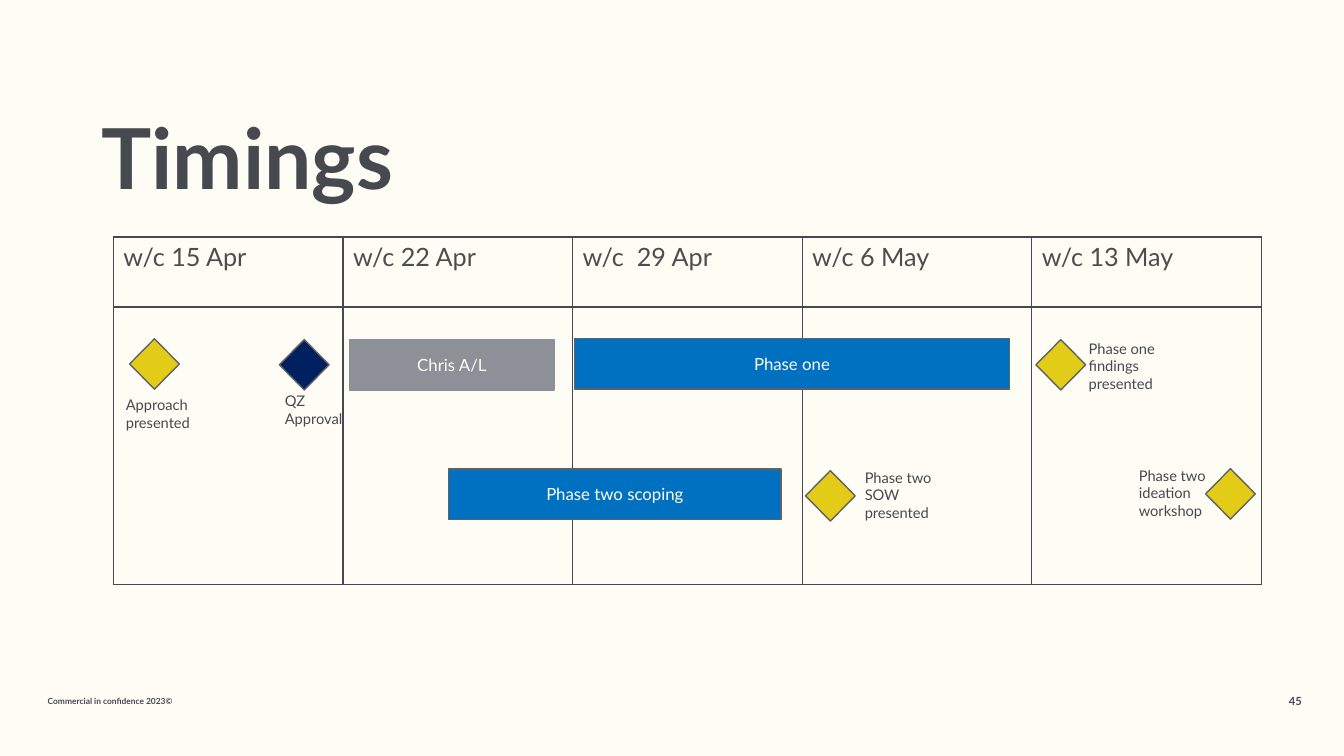
"""Build the project timings slide: a five-week plan with bars and milestones."""
from lxml import etree
from pptx import Presentation
from pptx.dml.color import RGBColor
from pptx.enum.shapes import MSO_SHAPE
from pptx.enum.text import MSO_ANCHOR, PP_ALIGN
from pptx.oxml.ns import qn
from pptx.util import Pt

CREAM = RGBColor(0xFE, 0xFD, 0xF5)
INK = RGBColor(0x46, 0x49, 0x4D)
HEADER = RGBColor(0x4D, 0x4D, 0x4D)
OUTLINE = RGBColor(0x61, 0x61, 0x61)
BLUE = RGBColor(0x00, 0x70, 0xC0)
GREY = RGBColor(0x8D, 0x91, 0x97)
YELLOW = RGBColor(0xE3, 0xCC, 0x17)
NAVY = RGBColor(0x00, 0x20, 0x60)


def write(tf, text, size, color, bold=False, align=PP_ALIGN.LEFT, anchor=MSO_ANCHOR.TOP):
    tf.text = text
    tf.word_wrap = True
    tf.vertical_anchor = anchor
    for p in tf.paragraphs:
        p.alignment = align
        for r in p.runs:
            r.font.name = "Lato"
            r.font.size = Pt(size)
            r.font.bold = bold
            r.font.color.rgb = color


def add_block(kind, x, y, w, h, fill, line):
    sp = s.shapes.add_shape(kind, Pt(x), Pt(y), Pt(w), Pt(h))
    sp.shadow.inherit = False
    sp.fill.solid()
    sp.fill.fore_color.rgb = fill
    sp.line.color.rgb = line
    sp.line.width = Pt(1)
    return sp


prs = Presentation()
prs.slide_width, prs.slide_height = Pt(960), Pt(540)
s = prs.slides.add_slide(prs.slide_layouts[6])
s.background.fill.solid()
s.background.fill.fore_color.rgb = CREAM

title = s.shapes.add_textbox(Pt(65.5), Pt(25), Pt(480), Pt(127))
write(title.text_frame, "Timings", 60, INK, True, anchor=MSO_ANCHOR.BOTTOM)
title.text_frame.paragraphs[0].line_spacing = 0.9

footers = [
    ("Commercial in confidence 2023©", 27, 324, 6, PP_ALIGN.LEFT),
    ("45", 721, 216, 8, PP_ALIGN.RIGHT),
]
for text, x, w, size, align in footers:
    tb = s.shapes.add_textbox(Pt(x), Pt(486.5), Pt(w), Pt(29))
    write(tb.text_frame, text, size, INK, True, align, MSO_ANCHOR.MIDDLE)

weeks = ["w/c 15 Apr", "w/c 22 Apr", "w/c  29 Apr", "w/c 6 May", "w/c 13 May"]
frame = s.shapes.add_table(2, len(weeks), Pt(81), Pt(169.3), Pt(820), Pt(248.5))
table = frame.table
table.first_row = False
table.horz_banding = False
table.rows[0].height = Pt(50)
table.rows[1].height = Pt(198.5)
for col, week in zip(table.columns, weeks):
    col.width = Pt(164)
for cell, week in zip(table.rows[0].cells, weeks):
    write(cell.text_frame, week, 18, HEADER)
for cell in table.iter_cells():
    tcPr = cell._tc.get_or_add_tcPr()
    for edge in ("a:lnL", "a:lnR", "a:lnT", "a:lnB"):
        ln = etree.SubElement(tcPr, qn(edge), w=str(Pt(1)))
        solid = etree.SubElement(ln, qn("a:solidFill"))
        etree.SubElement(solid, qn("a:srgbClr"), val=str(INK))
    cell.fill.background()

bars = [
    ("Phase one", 410.5, 242, 310.5, BLUE, OUTLINE),
    ("Phase two scoping", 320.5, 335, 237.5, BLUE, OUTLINE),
    ("Chris A/L", 249.8, 242.6, 146, GREY, GREY),
]
for text, x, y, w, fill, line in bars:
    sp = add_block(MSO_SHAPE.RECTANGLE, x, y, w, 36, fill, line)
    write(sp.text_frame, text, 12, CREAM, align=PP_ALIGN.CENTER, anchor=MSO_ANCHOR.MIDDLE)

milestones = [
    ("Approach presented", 92.6, 242, 82.8, 279.4, 80.6, YELLOW),
    ("Phase one findings presented", 740, 242.6, 770.6, 239, 80.6, YELLOW),
    ("Phase two ideation workshop", 861.2, 334.8, 806.4, 329.8, 80.6, YELLOW),
    ("Phase two SOW presented", 575.4, 336.2, 610.6, 331.2, 80.6, YELLOW),
    ("QZ\nApproval", 199.6, 242.6, 196.4, 276.3, 63.4, NAVY),
]
for text, x, y, label_x, label_y, label_w, fill in milestones:
    add_block(MSO_SHAPE.DIAMOND, x, y, 35.5, 36, fill, OUTLINE)
    tb = s.shapes.add_textbox(Pt(label_x), Pt(label_y), Pt(label_w), Pt(45))
    write(tb.text_frame, text, 10.5, INK)

prs.save("out.pptx")
